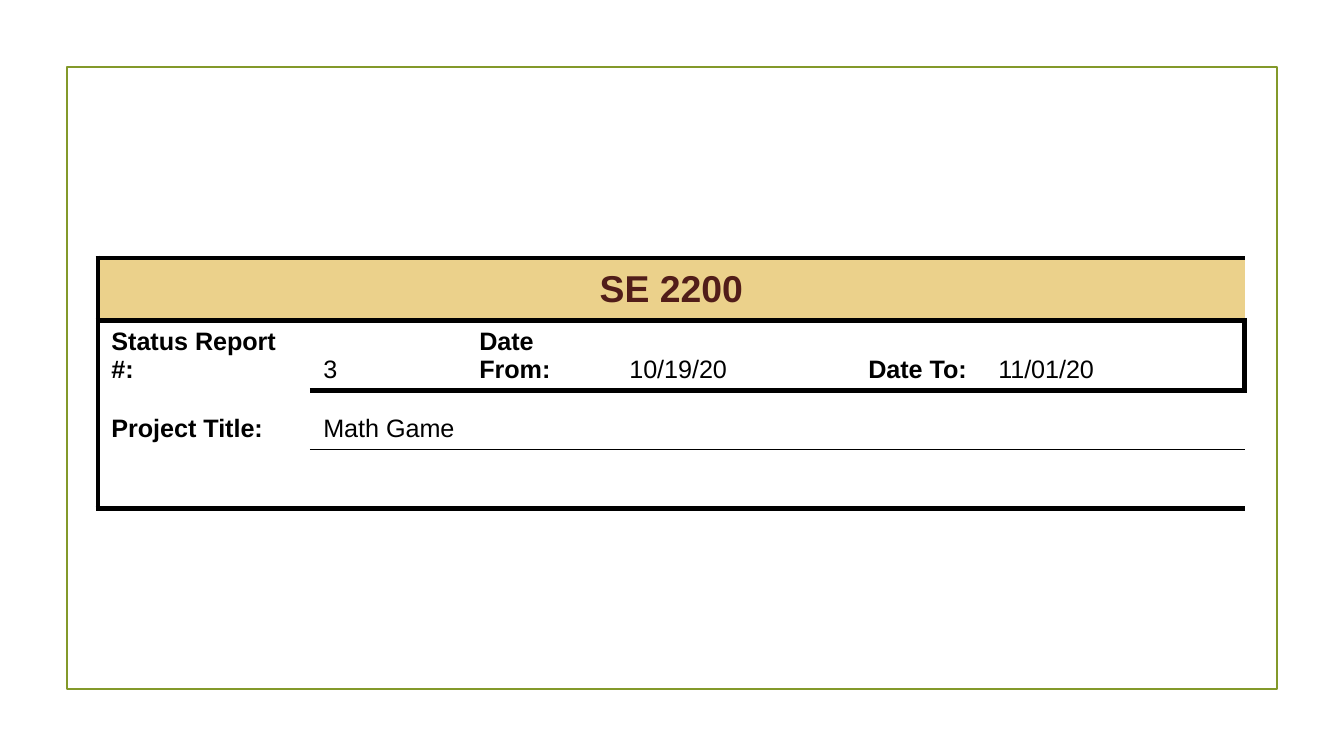
from lxml import etree
from pptx import Presentation
from pptx.dml.color import RGBColor
from pptx.enum.shapes import MSO_SHAPE
from pptx.enum.text import MSO_ANCHOR, PP_ALIGN
from pptx.oxml.ns import qn
from pptx.util import Emu, Pt

RECTANGLE = MSO_SHAPE.RECTANGLE
MIDDLE, BOTTOM = MSO_ANCHOR.MIDDLE, MSO_ANCHOR.BOTTOM
CENTER, LEFT = PP_ALIGN.CENTER, PP_ALIGN.LEFT

EMU_PER_PX = 914400 / 134.4
FONT = "Arial"
COLORS = {"frame": "83992A", "header": "EBD18B", "title": "511D19", "ink": "000000"}

COL_WIDTHS = [212, 156, 150, 239, 130, 260]
ROW_HEIGHTS = [63, 59, 59, 59]
DETAILS = [
    ["Status Report #:", "3", "Date From:", "10/19/20", "Date To:", "11/01/20"],
    ["Project Title:", "Math Game"],
]
THICK, THIN = 3, 1


def px(n):
    return Emu(round(n * EMU_PER_PX))


def rgb(name):
    return RGBColor.from_string(COLORS[name])


def add_frame(slide, x, y, w, h):
    sp = slide.shapes.add_shape(RECTANGLE, px(x), px(y), px(w), px(h))
    sp.shadow.inherit = False
    sp.fill.background()
    sp.line.color.rgb = rgb("frame")
    sp.line.width = Pt(1.25)


def horizontal_rule(edge, col):
    """Width in points of the rule on a row edge, 0 for none."""
    if edge in (0, 1, len(ROW_HEIGHTS)):
        return THICK
    if col == 0:
        return 0
    return THICK if edge == 2 else THIN


def vertical_rule(edge):
    return THICK if edge in (0, len(COL_WIDTHS)) else 0


def set_border(cell, side, width):
    tcPr = cell._tc.get_or_add_tcPr()
    ln = etree.SubElement(tcPr, qn(f"a:ln{side}"), w=str(Pt(width)))
    if width:
        fill = etree.SubElement(ln, qn("a:solidFill"))
        etree.SubElement(fill, qn("a:srgbClr"), val=COLORS["ink"])
    else:
        etree.SubElement(ln, qn("a:noFill"))


def style_cells(table):
    """Draw the rules and remove the default fill of every cell."""
    for row in range(len(ROW_HEIGHTS)):
        for col in range(len(COL_WIDTHS)):
            cell = table.cell(row, col)
            set_border(cell, "L", vertical_rule(col))
            set_border(cell, "R", vertical_rule(col + 1))
            set_border(cell, "T", horizontal_rule(row, col))
            set_border(cell, "B", horizontal_rule(row + 1, col))
            cell.fill.background()


def write_cell(cell, text, size, bold, color="ink", anchor=BOTTOM, align=LEFT):
    cell.vertical_anchor = anchor
    p = cell.text_frame.paragraphs[0]
    p.alignment = align
    r = p.add_run()
    r.text = text
    r.font.name = FONT
    r.font.size = Pt(size)
    r.font.bold = bold
    r.font.color.rgb = rgb(color)


def add_report_table(slide, x, y):
    rows, cols = len(ROW_HEIGHTS), len(COL_WIDTHS)
    table = slide.shapes.add_table(
        rows, cols, px(x), px(y), px(sum(COL_WIDTHS)), px(sum(ROW_HEIGHTS))
    ).table
    table.first_row = table.horz_banding = False
    for column, width in zip(table.columns, COL_WIDTHS):
        column.width = px(width)
    for row, height in zip(table.rows, ROW_HEIGHTS):
        row.height = px(height)
    style_cells(table)

    last = cols - 1
    for row, first in ((0, 0), (2, 1), (3, 1)):
        table.cell(row, first).merge(table.cell(row, last))

    header = table.cell(0, 0)
    header.fill.solid()
    header.fill.fore_color.rgb = rgb("header")
    write_cell(header, "SE 2200", 20, True, "title", MIDDLE, CENTER)
    for row, texts in enumerate(DETAILS, start=1):
        for col, text in enumerate(texts):
            is_label = col % 2 == 0
            write_cell(table.cell(row, col), text, 13.5, is_label)


def main():
    prs = Presentation()
    prs.slide_width, prs.slide_height = px(1344), px(756)
    slide = prs.slides.add_slide(prs.slide_layouts[6])
    add_frame(slide, 67, 67, 1210, 622)
    add_report_table(slide, 98, 258)
    prs.save("out.pptx")


if __name__ == "__main__":
    main()
